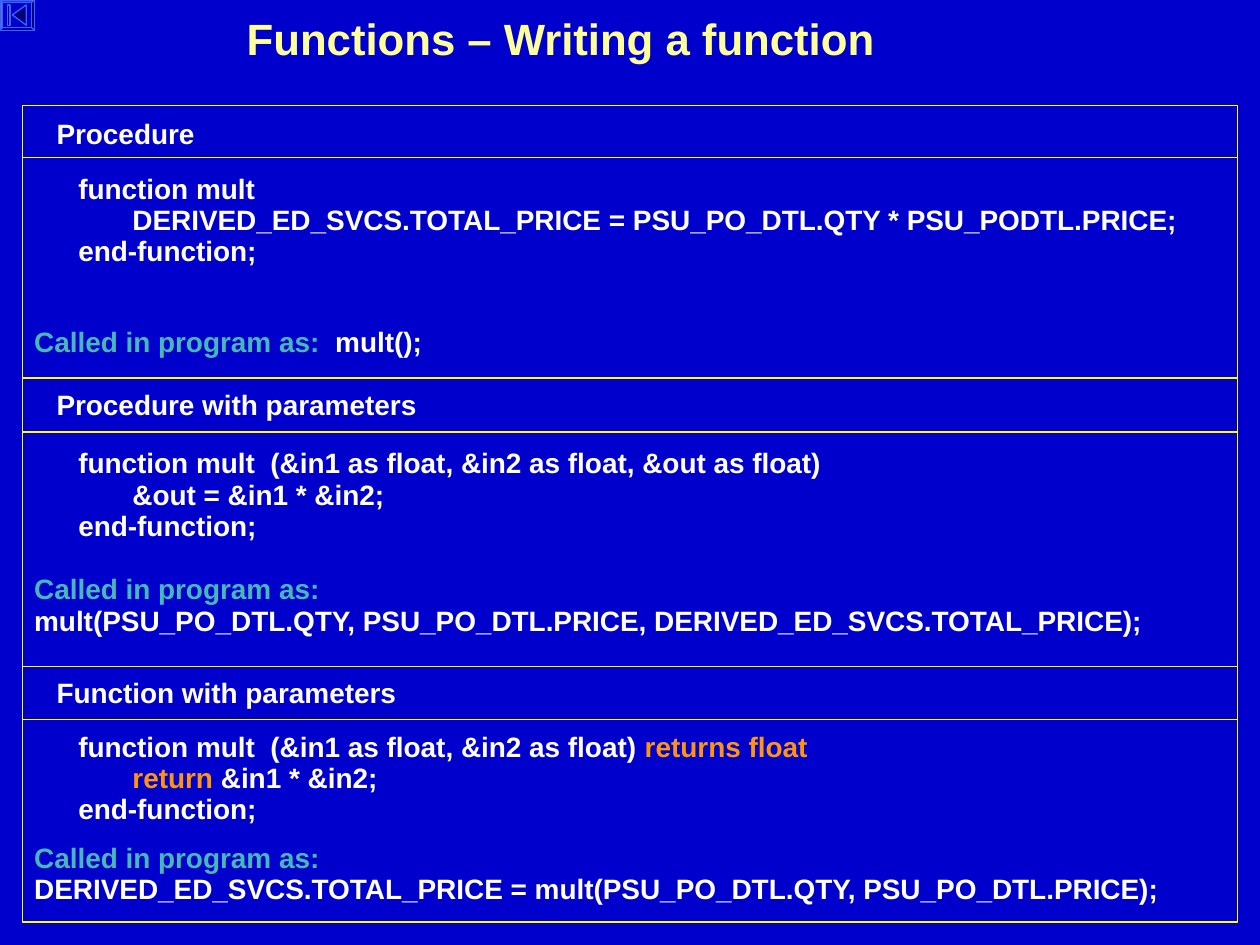
from lxml import etree
from pptx import Presentation
from pptx.dml.color import RGBColor
from pptx.enum.shapes import MSO_CONNECTOR, MSO_SHAPE
from pptx.enum.text import MSO_ANCHOR, MSO_AUTO_SIZE, PP_ALIGN
from pptx.oxml.ns import qn
from pptx.util import Cm, Pt

BLUE = RGBColor(0x00, 0x00, 0xCC)
BUTTON_EDGE = RGBColor(0x33, 0x66, 0xFF)
BUTTON_ICON = RGBColor(0x00, 0x00, 0x7A)
YELLOW = RGBColor(0xFF, 0xFF, 0x00)
PALE_YELLOW = RGBColor(0xFF, 0xFF, 0x99)
WHITE = RGBColor(0xFF, 0xFF, 0xFF)
TEAL = RGBColor(0x47, 0xB8, 0xB8)
ORANGE = RGBColor(0xFF, 0x95, 0x0E)
STRAIGHT = MSO_CONNECTOR.STRAIGHT
RECTANGLE, BEVEL = MSO_SHAPE.RECTANGLE, MSO_SHAPE.BEVEL
TOP, NO_AUTOFIT = MSO_ANCHOR.TOP, MSO_AUTO_SIZE.NONE
CENTER, LEFT = PP_ALIGN.CENTER, PP_ALIGN.LEFT

FRAME_LEFT, FRAME_TOP, FRAME_WIDTH, FRAME_HEIGHT = 0.46, 2.13, 24.49, 16.46
CODE_INDENT = 1.09


def write_lines(box, lines, size, align=LEFT, indented=()):
    frame = box.text_frame
    frame.word_wrap = True
    frame.auto_size = NO_AUTOFIT
    frame.vertical_anchor = TOP
    frame.margin_left = frame.margin_right = Cm(0.23)
    frame.margin_top, frame.margin_bottom = Cm(0.16), Cm(0.1)
    for index, pieces in enumerate(lines):
        paragraph = frame.paragraphs[0] if index == 0 else frame.add_paragraph()
        paragraph.alignment = align
        paragraph.line_spacing = 0.93
        paragraph.space_before = Pt(0)
        if index in indented:
            paragraph._p.get_or_add_pPr().set("marL", str(Cm(CODE_INDENT)))
        for words, color in pieces:
            run = paragraph.add_run()
            run.text = words
            run.font.name = "Arial"
            run.font.size = Pt(size)
            run.font.bold = True
            run.font.color.rgb = color


presentation = Presentation()
presentation.slide_width, presentation.slide_height = Cm(25.4), Cm(19.05)
slide = presentation.slides.add_slide(presentation.slide_layouts[5])
slide.background.fill.solid()
slide.background.fill.fore_color.rgb = BLUE
shapes = slide.shapes

title = shapes.title
title.left, title.top, title.width, title.height = Cm(4.39), Cm(0.18), Cm(13.82), Cm(1.24)
write_lines(title, [[("Functions – Writing a function", PALE_YELLOW)]], 25, CENTER)

back_button = shapes.add_shape(BEVEL, 0, 0, Cm(0.69), Cm(0.61))
back_button.adjustments[0] = 0.08
icon_parts = [back_button]
for outline in (
    [(0.25, 0.3), (0.53, 0.1), (0.53, 0.51)],
    [(0.15, 0.1), (0.2, 0.1), (0.2, 0.51), (0.15, 0.51)],
):
    points = [(Cm(x), Cm(y)) for x, y in outline]
    builder = shapes.build_freeform(*points[0])
    builder.add_line_segments(points[1:], close=True)
    icon_parts.append(builder.convert_to_shape())
for part, color in zip(icon_parts, (BLUE, BUTTON_ICON, BUTTON_ICON)):
    part.shadow.inherit = False
    part.fill.solid()
    part.fill.fore_color.rgb = color
    part.line.color.rgb = BUTTON_EDGE
    part.line.width = Pt(0.75)

border = shapes.add_shape(
    RECTANGLE, Cm(FRAME_LEFT), Cm(FRAME_TOP), Cm(FRAME_WIDTH), Cm(FRAME_HEIGHT)
)
border.shadow.inherit = False
border.fill.background()
border.line.color.rgb = YELLOW
border.line.width = Pt(0.75)

for rule_y in (3.18, 7.62, 8.71, 13.44, 14.5):
    rule = shapes.add_connector(
        STRAIGHT, Cm(FRAME_LEFT), Cm(rule_y), Cm(FRAME_LEFT + FRAME_WIDTH), Cm(rule_y)
    )
    rule.line.color.rgb = YELLOW
    rule.line.width = Pt(0.75)
    etree.SubElement(rule._element.spPr, qn("a:effectLst"))

END = [("end-function;", WHITE)]
CALLED = [("Called in program as:", TEAL)]
sections = [
    (
        "Procedure", 2.26, 3.35, 6.45,
        [
            [("function mult", WHITE)],
            [("DERIVED_ED_SVCS.TOTAL_PRICE = PSU_PO_DTL.QTY * PSU_PODTL.PRICE;", WHITE)],
            END,
        ],
        [[("Called in program as: ", TEAL), (" mult();", WHITE)]],
    ),
    (
        "Procedure with parameters", 7.72, 8.89, 11.43,
        [
            [("function mult  (&in1 as float, &in2 as float, &out as float)", WHITE)],
            [("&out = &in1 * &in2;", WHITE)],
            END,
        ],
        [
            CALLED,
            [("mult(PSU_PO_DTL.QTY, PSU_PO_DTL.PRICE, DERIVED_ED_SVCS.TOTAL_PRICE);", WHITE)],
        ],
    ),
    (
        "Function with parameters", 13.51, 14.6, 16.84,
        [
            [("function mult  (&in1 as float, &in2 as float) ", WHITE), ("returns float", ORANGE)],
            [("return", ORANGE), (" &in1 * &in2;", WHITE)],
            END,
        ],
        [
            CALLED,
            [("DERIVED_ED_SVCS.TOTAL_PRICE = mult(PSU_PO_DTL.QTY, PSU_PO_DTL.PRICE);", WHITE)],
        ],
    ),
]

for heading, heading_y, code_y, call_y, code, call in sections:
    heading_box = shapes.add_textbox(Cm(0.91), Cm(heading_y), Cm(10.44), Cm(0.89))
    write_lines(heading_box, [[(heading, WHITE)]], 16)
    code_box = shapes.add_textbox(Cm(1.35), Cm(code_y), Cm(23.14), Cm(2.22))
    write_lines(code_box, code, 16, indented=(1,))
    call_box = shapes.add_textbox(Cm(FRAME_LEFT), Cm(call_y), Cm(24.94), Cm(1.55))
    write_lines(call_box, call, 16)

presentation.save("out.pptx")
